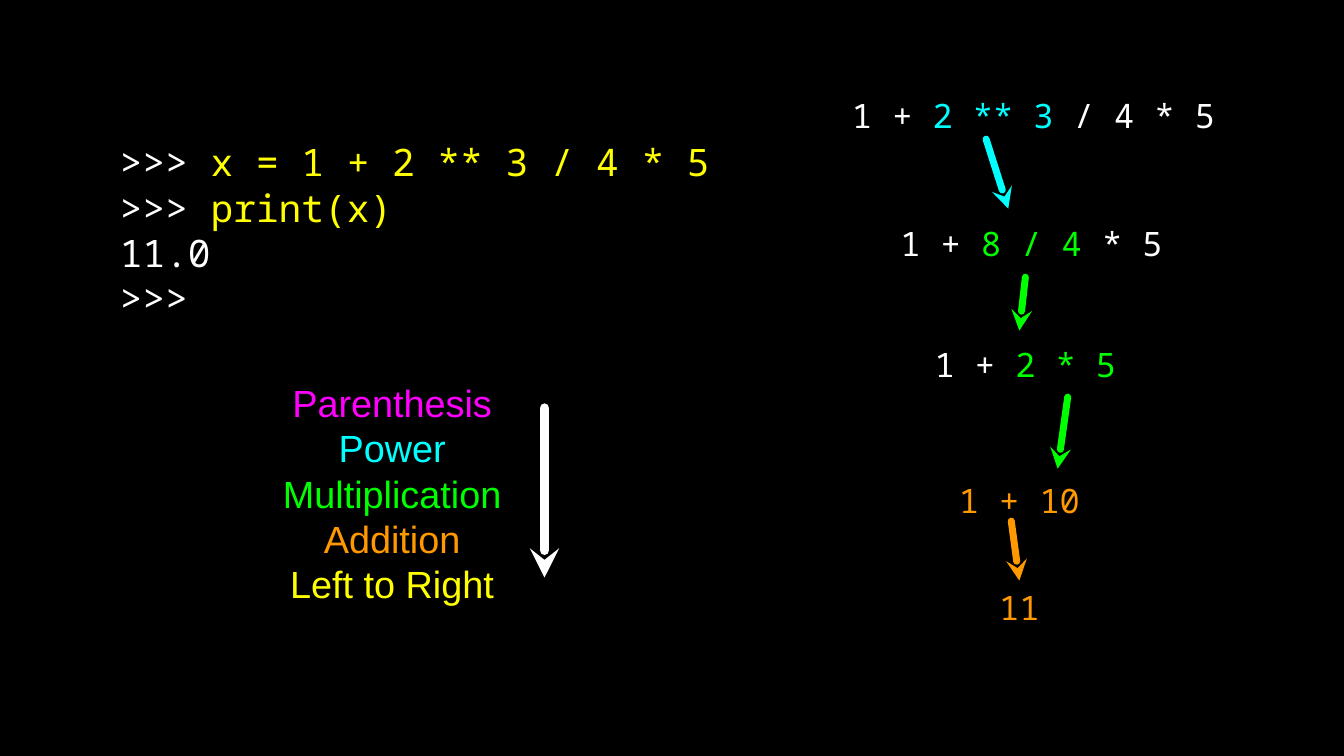
from lxml.etree import SubElement
from pptx import Presentation
from pptx.dml.color import RGBColor
from pptx.enum.shapes import MSO_CONNECTOR as Connector
from pptx.enum.text import MSO_ANCHOR as Anchor, PP_ALIGN as Align
from pptx.oxml.ns import qn
from pptx.util import Pt

PX = 9144  # EMU per px, 100 px to the inch

BLACK = RGBColor(0x00, 0x00, 0x00)
WHITE = RGBColor(0xFF, 0xFF, 0xFF)
CYAN = RGBColor(0x00, 0xFF, 0xFF)
GREEN = RGBColor(0x00, 0xFF, 0x00)
ORANGE = RGBColor(0xFF, 0x99, 0x00)
YELLOW = RGBColor(0xFF, 0xFF, 0x00)
MAGENTA = RGBColor(0xFF, 0x00, 0xFF)

MONO = "Noto Sans Mono"
SANS = "Arial"
STEP_HEIGHT = 66

# Evaluation steps: left, top, width, coloured pieces
STEPS = [
    (845, 81, 380, [("1 + ", WHITE), ("2 ** 3", CYAN), (" / 4 * 5", WHITE)]),
    (893, 208, 332, [("1 + ", WHITE), ("8 / 4", GREEN), (" * 5", WHITE)]),
    (927, 328, 264, [("1 + ", WHITE), ("2 * 5", GREEN)]),
    (951, 463, 185, [("1 + 10", ORANGE)]),
    (991, 569, 59, [("11", ORANGE)]),
]

# Arrows between steps: tail, tip, colour
STEP_ARROWS = [
    ((978, 138), (1000, 207), CYAN),
    ((1017, 275), (1011, 328), GREEN),
    ((1059, 394), (1049, 465), GREEN),
    ((1003, 517), (1011, 576), ORANGE),
]

SESSION = [
    [(">>> ", WHITE), ("x = 1 + 2 ** 3 / 4 * 5", YELLOW)],
    [(">>> ", WHITE), ("print(x)", YELLOW)],
    [("11.0", WHITE)],
    [(">>>", WHITE)],
]

PRECEDENCE = [
    [("Parenthesis", MAGENTA)],
    [("Power", CYAN)],
    [("Multiplication", GREEN)],
    [("Addition", ORANGE)],
    [("Left to Right", YELLOW)],
]


def add_text(slide, box, lines, font, size, align=Align.LEFT, spacing=None):
    """Place lines of coloured pieces, centred vertically in the box."""
    shape = slide.shapes.add_textbox(*(length * PX for length in box))
    frame = shape.text_frame
    frame.word_wrap = True
    frame.vertical_anchor = Anchor.MIDDLE
    frame.margin_left = frame.margin_right = 0
    frame.margin_top = frame.margin_bottom = 0
    for index, pieces in enumerate(lines):
        paragraph = frame.add_paragraph() if index else frame.paragraphs[0]
        paragraph.alignment = align
        paragraph.line_spacing = spacing
        for text, color in pieces:
            run = paragraph.add_run()
            run.text = text
            run.font.name = font
            run.font.size = Pt(size)
            run.font.color.rgb = color


def add_arrow(slide, tail, tip, color, width):
    """Draw a round-capped line from tail to a stealth arrowhead at tip."""
    ends = (length * PX for length in (*tip, *tail))
    arrow = slide.shapes.add_connector(Connector.STRAIGHT, *ends)
    arrow.line.color.rgb = color
    arrow.line.width = Pt(width)
    line = arrow.line._get_or_add_ln()
    line.set("cap", "rnd")
    SubElement(line, qn("a:round"))
    SubElement(line, qn("a:headEnd"), type="stealth")
    SubElement(arrow._element.spPr, qn("a:effectLst"))


def main():
    presentation = Presentation()
    presentation.slide_width = 1333 * PX
    presentation.slide_height = 750 * PX
    slide = presentation.slides.add_slide(presentation.slide_layouts[6])
    slide.background.fill.solid()
    slide.background.fill.fore_color.rgb = BLACK

    # Step-by-step evaluation
    for left, top, width, pieces in STEPS:
        add_text(slide, (left, top, width, STEP_HEIGHT), [pieces], MONO, 24)
    for tail, tip, color in STEP_ARROWS:
        add_arrow(slide, tail, tip, color, 5)

    # Interpreter session
    add_text(slide, (119, 107, 603, 242), SESSION, MONO, 27, spacing=Pt(32.4))

    # Precedence list, highest first
    add_text(slide, (266, 365, 246, 248), PRECEDENCE, SANS, 27,
             Align.CENTER, Pt(32.4))
    add_arrow(slide, (540, 405), (540, 573), WHITE, 7)

    presentation.save("out.pptx")


if __name__ == "__main__":
    main()
